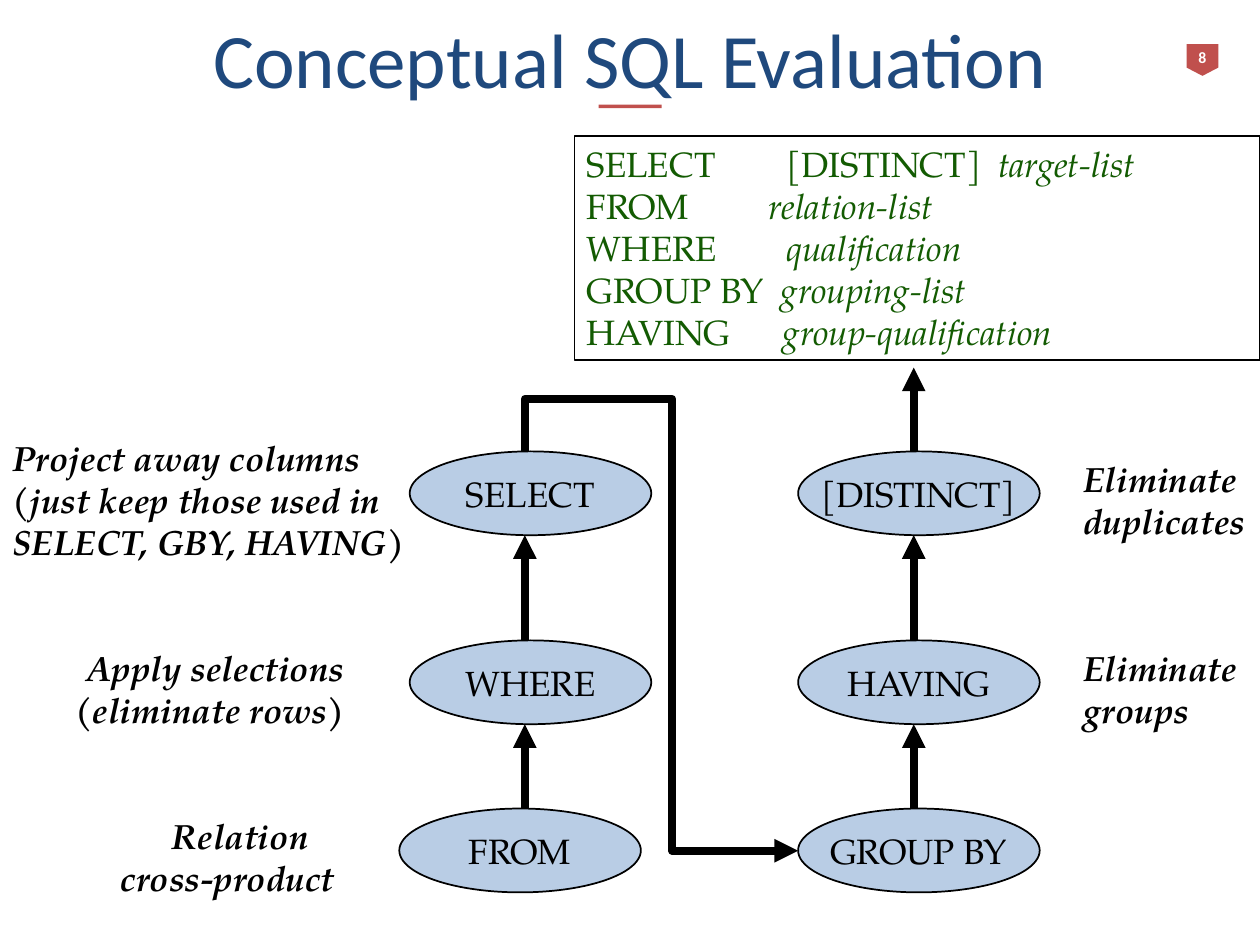
"""Build the slide that shows the conceptual order of SQL evaluation."""
from dataclasses import dataclass

from lxml import etree
from pptx import Presentation
from pptx.dml.color import RGBColor
from pptx.enum.shapes import MSO_SHAPE
from pptx.enum.text import MSO_ANCHOR, MSO_AUTO_SIZE, PP_ALIGN
from pptx.oxml.ns import qn
from pptx.util import Cm, Pt

LEFT, CENTER, RIGHT = PP_ALIGN.LEFT, PP_ALIGN.CENTER, PP_ALIGN.RIGHT
TOP, MIDDLE = MSO_ANCHOR.TOP, MSO_ANCHOR.MIDDLE
GROW, FIXED = MSO_AUTO_SIZE.SHAPE_TO_FIT_TEXT, MSO_AUTO_SIZE.NONE
RECTANGLE, OVAL, PENTAGON = MSO_SHAPE.RECTANGLE, MSO_SHAPE.OVAL, MSO_SHAPE.PENTAGON

BLACK = RGBColor(0x00, 0x00, 0x00)
WHITE = RGBColor(0xFF, 0xFF, 0xFF)
NAVY = RGBColor(0x1F, 0x49, 0x7D)
RED = RGBColor(0xC0, 0x50, 0x4D)
GREEN = RGBColor(0x13, 0x5B, 0x02)
PALE_BLUE = RGBColor(0xB9, 0xCD, 0xE5)

SANS, SERIF = "Calibri", "TeX Gyre Pagella"
STEP_WIDTH, STEP_HEIGHT = 4.87, 1.69
LEFT_COLUMN, RIGHT_COLUMN = 8.26, 16.09
LEFT_FLOW, RIGHT_FLOW = 10.58, 18.42
UPPER, MIDDLE_ROW, LOWER = 9.1, 12.91, 16.3


@dataclass
class Step:
    name: str
    left: float
    top: float


@dataclass
class Note:
    lines: tuple[str, ...]
    left: float
    top: float
    width: float
    height: float
    align: PP_ALIGN = LEFT
    margin: float = 0
    indent: float = 0


@dataclass
class Clause:
    keyword: str
    argument: str
    tabs: tuple[float, ...]


@dataclass
class Arrow:
    column: float
    start: float
    tip: float


STEPS = [
    Step("SELECT", LEFT_COLUMN, UPPER),
    Step("WHERE", LEFT_COLUMN, MIDDLE_ROW),
    Step("FROM", 8.05, LOWER),
    Step("GROUP BY", RIGHT_COLUMN, LOWER),
    Step("HAVING", RIGHT_COLUMN, MIDDLE_ROW),
    Step("[DISTINCT]", RIGHT_COLUMN, UPPER),
]
NOTES = [
    Note(("Relation cross-product",), 1.7, LOWER, 5.5, 1.96, margin=0.48, indent=1.03),
    Note(("Apply selections", "(eliminate rows)"), 0, MIDDLE_ROW, 7.2, 1.96, RIGHT),
    Note(("Project away columns", "(just keep those used in SELECT, GBY, HAVING)"),
         0, 8.68, 8.68, 2.8),
    Note(("Eliminate groups",), 21.59, MIDDLE_ROW, 3.81, 1.96),
    Note(("Eliminate duplicates",), 21.59, UPPER, 3.81, 1.96),
]
CLAUSES = [
    Clause("SELECT\t[DISTINCT]\t", "target-list", (4.03, 8.29)),
    Clause("FROM\t", "relation-list", (3.67,)),
    Clause("WHERE\t", "qualification", (4.03,)),
    Clause("GROUP BY\t", "grouping-list", (3.91,)),
    Clause("HAVING\t", "group-qualification", (3.95,)),
]
ARROWS = [
    Arrow(column, start, tip + STEP_HEIGHT)
    for column in (LEFT_FLOW, RIGHT_FLOW)
    for start, tip in ((LOWER, MIDDLE_ROW), (MIDDLE_ROW, UPPER))
] + [Arrow(RIGHT_FLOW, UPPER, 7.41)]
DETOUR = [(LEFT_FLOW, UPPER), (LEFT_FLOW, 8.04), (13.55, 8.04), (13.55, 17.15), (16.09, 17.15)]


def write(para, text, *, size=20, font=SERIF, color=BLACK, bold=False, italic=False,
          align=LEFT) -> None:
    """Add one formatted span to a paragraph."""
    para.alignment = align
    span = para.add_run()
    span.text = text
    span.font.size, span.font.name = Pt(size), font
    span.font.bold, span.font.italic = bold, italic
    span.font.color.rgb = color


def next_paragraph(frame, index: int):
    """Return the first paragraph of a frame, or a new one after it."""
    return frame.add_paragraph() if index else frame.paragraphs[0]


def place(box, left: float, top: float, width: float, height: float) -> None:
    """Set the position and size of a box in centimetres."""
    box.left, box.top, box.width, box.height = map(Cm, (left, top, width, height))


def set_frame(box, *, wrap=True, anchor=TOP, fit=GROW):
    """Set how text sits in a box and return its frame."""
    frame = box.text_frame
    frame.word_wrap, frame.vertical_anchor, frame.auto_size = wrap, anchor, fit
    return frame


def add_block(page, kind: MSO_SHAPE, bounds: tuple, fill=None, line=None):
    """Add a flat preset shape with an optional fill and outline."""
    block = page.shapes.add_shape(kind, *map(Cm, bounds))
    block.shadow.inherit = False
    if fill is None:
        block.fill.background()
    else:
        block.fill.solid()
        block.fill.fore_color.rgb = fill
    if line is None:
        block.line.fill.background()
    else:
        block.line.color.rgb, block.line.width = line, Pt(1)
    return block


def style_arrow(arrow) -> None:
    """Give a line its thick black stroke and an arrowhead at its end."""
    arrow.line.color.rgb, arrow.line.width = BLACK, Pt(4.5)
    properties = arrow.line._get_or_add_ln()
    etree.SubElement(properties, qn("a:tailEnd"), type="triangle")


def add_title(page) -> None:
    """Fill the title, its underline and the page number badge."""
    title = page.shapes.title
    place(title, 1.27, 0.43, 22.86, 1.45)
    frame = set_frame(title, anchor=MIDDLE)
    write(frame.paragraphs[0], "Conceptual SQL Evaluation", size=44, font=SANS,
          color=NAVY, align=CENTER)
    add_block(page, RECTANGLE, (12.07, 2.11, 1.27, 0.07), RED)
    badge = add_block(page, PENTAGON, (23.92, 0.89, 0.64, 0.64), RED)
    badge.rotation, badge.adjustments[0] = 90, 0.26
    number = page.shapes.add_textbox(Cm(23.82), Cm(0.84), Cm(0.84), Cm(0.64))
    write(set_frame(number, wrap=False).paragraphs[0], "8", size=9, font=SANS,
          color=WHITE, bold=True, align=CENTER)


def add_query(page, clauses: list[Clause]) -> None:
    """Add the framed query with its clauses lined up on tab stops."""
    box = add_block(page, RECTANGLE, (11.58, 2.74, 13.82, 4.52), line=BLACK)
    frame = set_frame(box)
    for index, clause in enumerate(clauses):
        para = next_paragraph(frame, index)
        tabs = etree.SubElement(para._p.get_or_add_pPr(), qn("a:tabLst"))
        for stop in clause.tabs:
            etree.SubElement(tabs, qn("a:tab"), pos=str(Cm(stop)), algn="l")
        write(para, clause.keyword, color=GREEN)
        write(para, clause.argument, color=GREEN, italic=True)


def add_step(page, step: Step) -> None:
    """Add one evaluation step as a labelled oval."""
    oval = add_block(page, OVAL, (step.left, step.top, STEP_WIDTH, STEP_HEIGHT),
                     PALE_BLUE, BLACK)
    frame = set_frame(oval, wrap=False, anchor=MIDDLE, fit=FIXED)
    write(frame.paragraphs[0], step.name, align=CENTER)


def add_note(page, note: Note) -> None:
    """Add the explanation beside a step."""
    bounds = (note.left, note.top, note.width, note.height)
    frame = set_frame(page.shapes.add_textbox(*map(Cm, bounds)))
    for index, line in enumerate(note.lines):
        para = next_paragraph(frame, index)
        if note.margin:
            properties = para._p.get_or_add_pPr()
            properties.set("marL", str(Cm(note.margin)))
            properties.set("indent", str(Cm(note.indent)))
        write(para, line, bold=True, italic=True, align=note.align)


def add_arrow(page, arrow: Arrow) -> None:
    """Add a straight upward arrow."""
    ends = (arrow.column, arrow.start, arrow.column, arrow.tip)
    connector = page.shapes.add_connector(1, *map(Cm, ends))
    style_arrow(connector)
    etree.SubElement(connector._element.spPr, qn("a:effectLst"))


def add_detour(page, corners: list[tuple[float, float]]) -> None:
    """Add the bent arrow that joins the two columns."""
    points = [(Cm(across), Cm(down)) for across, down in corners]
    builder = page.shapes.build_freeform(*points[0])
    builder.add_line_segments(points[1:], close=False)
    detour = builder.convert_to_shape()
    detour.shadow.inherit = False
    detour.fill.background()
    style_arrow(detour)


def main() -> None:
    """Build and save the deck."""
    deck = Presentation()
    deck.slide_width, deck.slide_height = Cm(25.4), Cm(19.05)
    page = deck.slides.add_slide(deck.slide_layouts[5])
    add_title(page)
    add_query(page, CLAUSES)
    for step in STEPS:
        add_step(page, step)
    for note in NOTES:
        add_note(page, note)
    for arrow in ARROWS:
        add_arrow(page, arrow)
    add_detour(page, DETOUR)
    deck.save("out.pptx")


if __name__ == "__main__":
    main()
